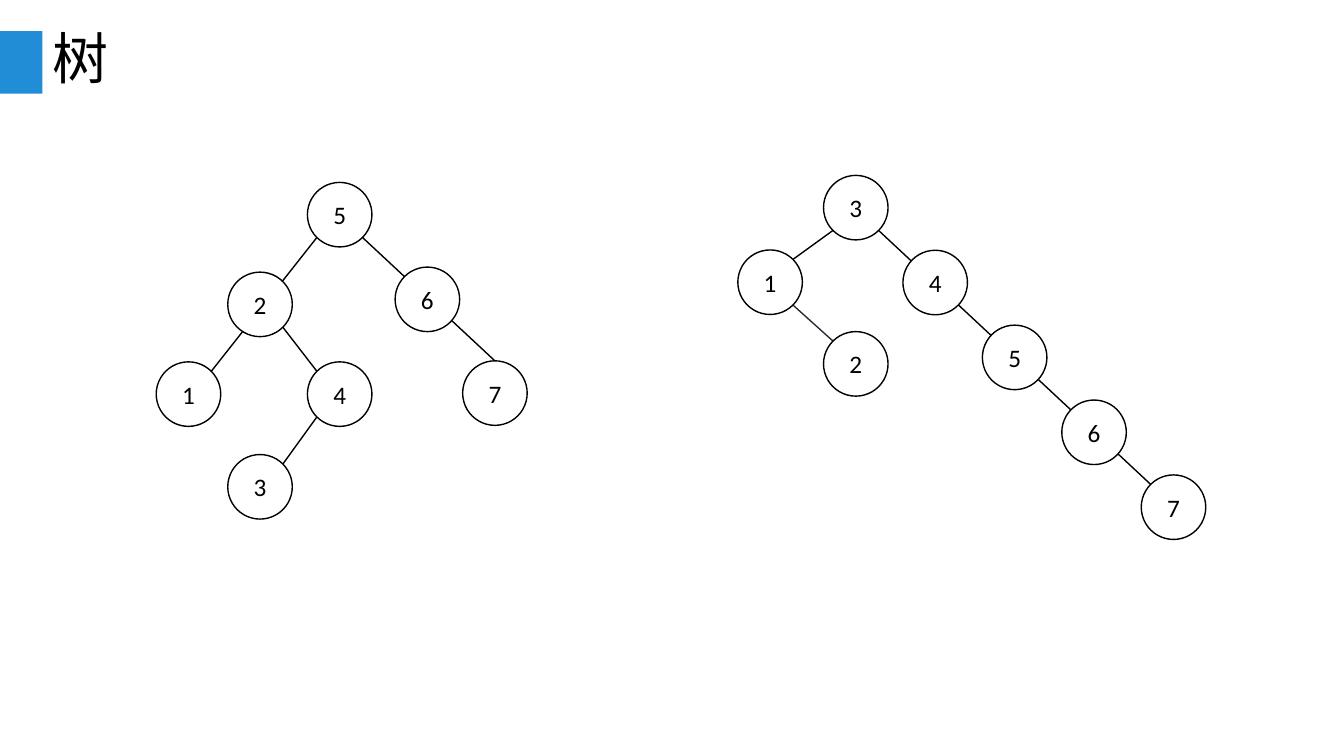
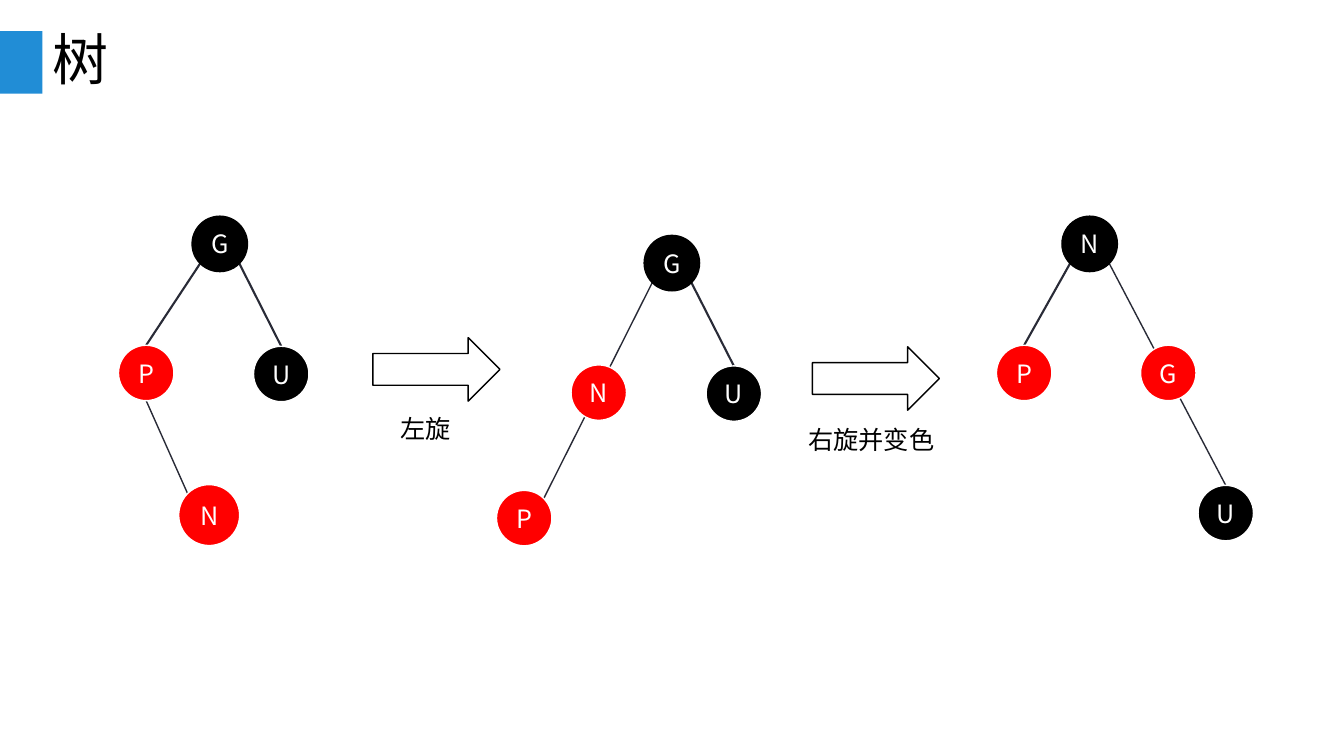
from dataclasses import dataclass
from enum import Enum
from math import sqrt

from lxml.etree import SubElement
from pptx import Presentation
from pptx.dml.color import RGBColor
from pptx.enum.shapes import MSO_CONNECTOR, MSO_SHAPE
from pptx.enum.text import MSO_ANCHOR, MSO_AUTO_SIZE, PP_ALIGN
from pptx.oxml.ns import qn
from pptx.presentation import Presentation as Deck
from pptx.shapes.autoshape import Shape
from pptx.slide import Slide
from pptx.text.text import TextFrame
from pptx.util import Inches, Length, Pt

BLACK = RGBColor(0x00, 0x00, 0x00)
WHITE = RGBColor(0xFF, 0xFF, 0xFF)
RED = RGBColor(0xFF, 0x00, 0x00)
BLUE = RGBColor(0x21, 0x8D, 0xD6)
SLATE = RGBColor(0x29, 0x2B, 0x37)
SANS = "Noto Sans CJK SC"
CALIBRI = "Calibri"

CELL = 0.1
COLUMNS, ROWS = 133.33, 75
DIAGONAL = 1 / sqrt(2)
BLANK_LAYOUT = 6


class Site(Enum):
    TOP = (0, -1)
    BOTTOM = (0, 1)
    TOP_LEFT = (-DIAGONAL, -DIAGONAL)
    TOP_RIGHT = (DIAGONAL, -DIAGONAL)
    BOTTOM_LEFT = (-DIAGONAL, DIAGONAL)
    BOTTOM_RIGHT = (DIAGONAL, DIAGONAL)


@dataclass(frozen=True)
class NodeStyle:
    fill: RGBColor
    outline: RGBColor
    text: RGBColor
    font: str
    diameter: float


PLAIN = NodeStyle(WHITE, BLACK, BLACK, CALIBRI, 6.4)
RED_NODE = NodeStyle(RED, WHITE, WHITE, SANS, 5.5)
LARGE_RED_NODE = NodeStyle(RED, WHITE, WHITE, SANS, 6.05)
BLACK_NODE = NodeStyle(BLACK, WHITE, WHITE, SANS, 5.5)
ROOT = NodeStyle(BLACK, BLACK, WHITE, SANS, 5.5)


@dataclass(frozen=True)
class Node:
    label: str
    column: float
    row: float
    style: NodeStyle = PLAIN

    def site(self, site: Site) -> tuple[Length, Length]:
        across, down = site.value
        radius = self.style.diameter / 2
        return grid(self.column + across * radius), grid(self.row + down * radius)


@dataclass(frozen=True)
class Edge:
    parent: str
    child: str
    leave: Site
    arrive: Site
    color: RGBColor = BLACK
    weight: float = 1


@dataclass(frozen=True)
class Tree:
    nodes: list[Node]
    edges: list[Edge]


@dataclass(frozen=True)
class Rotation:
    text: str
    arrow_column: float
    arrow_row: float
    label_column: float
    label_row: float
    label_width: float


@dataclass(frozen=True)
class Page:
    title: str
    title_row: float
    trees: list[Tree]
    rotations: list[Rotation]


def grid(cells: float) -> Length:
    return Inches(cells * CELL)


def left_edge(parent: str, child: str, arrive: Site = Site.TOP_RIGHT, **look) -> Edge:
    return Edge(parent, child, Site.BOTTOM_LEFT, arrive, **look)


def right_edge(parent: str, child: str, arrive: Site = Site.TOP_LEFT, **look) -> Edge:
    return Edge(parent, child, Site.BOTTOM_RIGHT, arrive, **look)


def add_text(frame: TextFrame, text: str, size: float, font: str, color: RGBColor,
             align: PP_ALIGN = PP_ALIGN.LEFT) -> None:
    paragraph = frame.paragraphs[0]
    paragraph.alignment = align
    run = paragraph.add_run()
    run.text = text
    run.font.size = Pt(size)
    run.font.name = font
    run.font.color.rgb = color
    SubElement(run.font._element, qn("a:ea")).set("typeface", SANS)


def add_preset(slide: Slide, preset: MSO_SHAPE, left: float, top: float, width: float,
               height: float, fill: RGBColor, outline: RGBColor | None = None) -> Shape:
    shape = slide.shapes.add_shape(preset, grid(left), grid(top), grid(width), grid(height))
    shape.shadow.inherit = False
    shape.fill.solid()
    shape.fill.fore_color.rgb = fill
    if outline is None:
        shape.line.fill.background()
    else:
        shape.line.color.rgb = outline
        shape.line.width = Pt(1)
    return shape


def add_heading(slide: Slide, page: Page) -> None:
    add_preset(slide, MSO_SHAPE.RECTANGLE, 0, 3.1, 4.2, 6.2, BLUE)
    box = slide.shapes.add_textbox(grid(4.2), grid(page.title_row), grid(125), grid(6.4))
    frame = box.text_frame
    frame.word_wrap = True
    frame.vertical_anchor = MSO_ANCHOR.MIDDLE
    frame.paragraphs[0].line_spacing = 0.9
    add_text(frame, page.title, 40, SANS, BLACK)


def add_edge(slide: Slide, edge: Edge, nodes: dict[str, Node]) -> None:
    start = nodes[edge.parent].site(edge.leave)
    end = nodes[edge.child].site(edge.arrive)
    connector = slide.shapes.add_connector(MSO_CONNECTOR.STRAIGHT, *start, *end)
    connector.line.color.rgb = edge.color
    connector.line.width = Pt(edge.weight)
    SubElement(connector._element.spPr, qn("a:effectLst"))


def add_node(slide: Slide, node: Node) -> None:
    style = node.style
    radius = style.diameter / 2
    shape = add_preset(slide, MSO_SHAPE.OVAL, node.column - radius, node.row - radius,
                       style.diameter, style.diameter, style.fill, style.outline)
    frame = shape.text_frame
    frame.margin_left = frame.margin_right = frame.margin_top = frame.margin_bottom = 0
    frame.vertical_anchor = MSO_ANCHOR.MIDDLE
    add_text(frame, node.label, 18, style.font, style.text, PP_ALIGN.CENTER)


def add_tree(slide: Slide, tree: Tree) -> None:
    nodes = {node.label: node for node in tree.nodes}
    for edge in tree.edges:
        add_edge(slide, edge, nodes)
    for node in tree.nodes:
        add_node(slide, node)


def add_rotation(slide: Slide, rotation: Rotation) -> None:
    add_preset(slide, MSO_SHAPE.RIGHT_ARROW, rotation.arrow_column, rotation.arrow_row,
               12.6, 6.3, WHITE, BLACK)
    box = slide.shapes.add_textbox(grid(rotation.label_column), grid(rotation.label_row),
                                   grid(rotation.label_width), grid(4))
    box.text_frame.word_wrap = False
    box.text_frame.auto_size = MSO_AUTO_SIZE.SHAPE_TO_FIT_TEXT
    add_text(box.text_frame, rotation.text, 18, SANS, BLACK)


def add_page(presentation: Deck, page: Page) -> None:
    slide = presentation.slides.add_slide(presentation.slide_layouts[BLANK_LAYOUT])
    add_heading(slide, page)
    for tree in page.trees:
        add_tree(slide, tree)
    for rotation in page.rotations:
        add_rotation(slide, rotation)


BALANCED = Tree(
    [Node("5", 33.7, 21.3), Node("2", 25.8, 30.2), Node("6", 42.4, 29.7),
     Node("1", 18.7, 39.1), Node("4", 33.7, 39.1), Node("7", 49.1, 39),
     Node("3", 25.8, 48.3)],
    [left_edge("5", "1"), right_edge("5", "7", Site.TOP),
     right_edge("2", "4"), left_edge("4", "3")],
)
SKEWED = Tree(
    [Node(str(3 + step), 84.9 + 7.88 * step, 20.6 + 7.43 * step) for step in range(5)]
    + [Node("1", 76.4, 28), Node("2", 84.9, 36.1)],
    [right_edge("3", "7"), left_edge("3", "1"), right_edge("1", "2", color=SLATE)],
)
BEFORE = Tree(
    [Node("G", 21.8, 24.2, ROOT), Node("P", 14.5, 37, RED_NODE),
     Node("U", 27.9, 37.1, BLACK_NODE), Node("N", 20.75, 51.1, LARGE_RED_NODE)],
    [left_edge("G", "P", Site.TOP, color=SLATE, weight=1.5),
     right_edge("G", "U", Site.TOP, color=SLATE, weight=1.5),
     Edge("P", "N", Site.BOTTOM, Site.TOP_LEFT, SLATE)],
)
ROTATED_LEFT = Tree(
    [Node("G", 66.65, 26.1, ROOT), Node("N", 59.4, 38.95, RED_NODE),
     Node("U", 72.8, 39.05, BLACK_NODE), Node("P", 52, 51.4, RED_NODE)],
    [left_edge("G", "P", color=SLATE),
     right_edge("G", "U", Site.TOP, color=SLATE, weight=1.5)],
)
ROTATED_RIGHT = Tree(
    [Node("N", 108.1, 24.2, ROOT), Node("P", 101.6, 37, RED_NODE),
     Node("G", 115.9, 37, RED_NODE), Node("U", 121.6, 50.9, BLACK_NODE)],
    [left_edge("N", "P", Site.TOP, color=SLATE, weight=1.5),
     right_edge("N", "U", Site.TOP, color=SLATE)],
)
PAGES = [
    Page("树", 2.9, [BALANCED, SKEWED], []),
    Page("树", 3, [BEFORE, ROTATED_LEFT, ROTATED_RIGHT],
         [Rotation("左旋", 37, 33.5, 38.7, 40.5, 7.1),
          Rotation("右旋并变色", 80.6, 34.4, 79.2, 41.6, 14.6)]),
]


def main() -> None:
    presentation = Presentation()
    presentation.slide_width = grid(COLUMNS)
    presentation.slide_height = grid(ROWS)
    for page in PAGES:
        add_page(presentation, page)
    presentation.save("out.pptx")


main()
